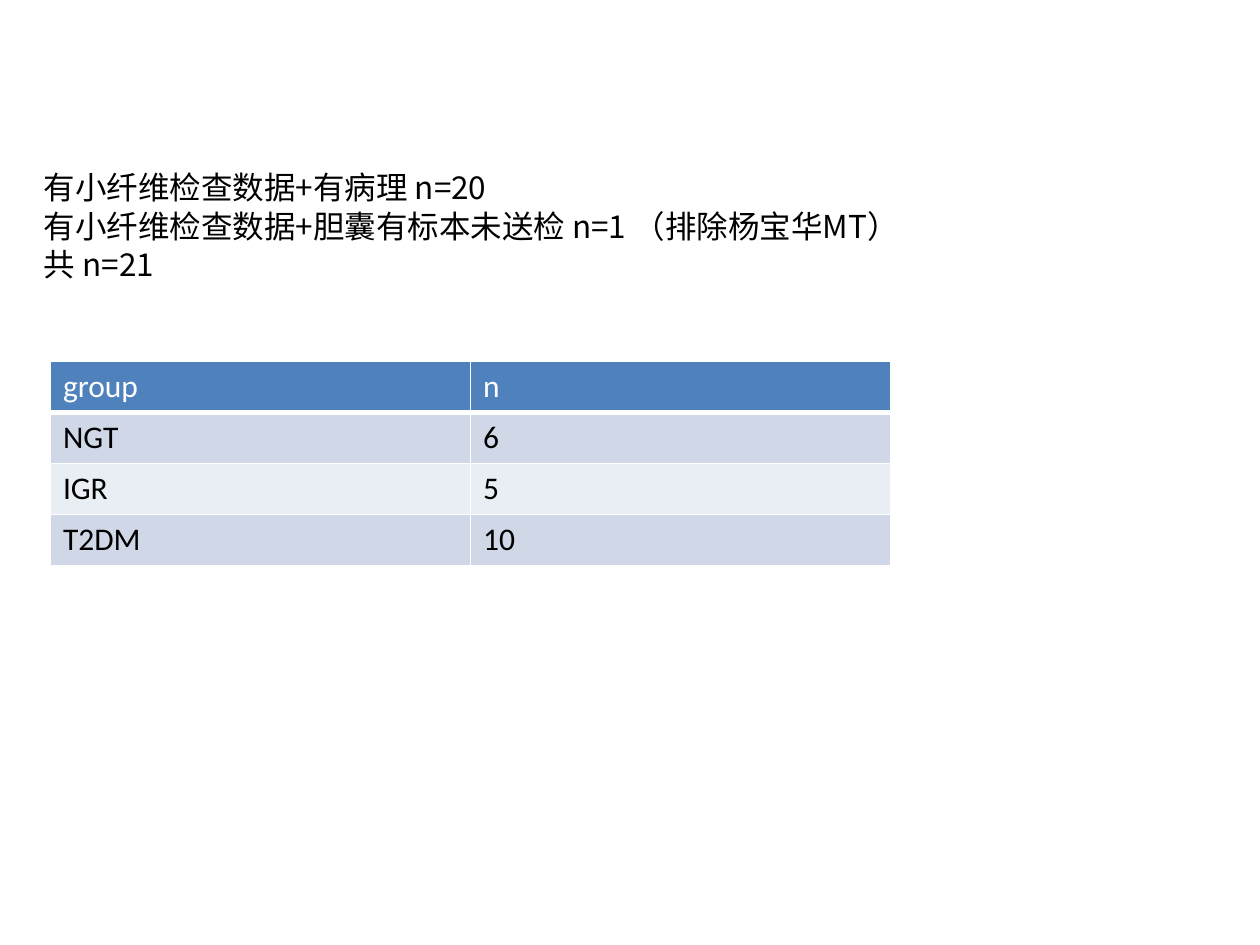
from lxml.etree import SubElement
from pptx import Presentation
from pptx.dml.color import RGBColor
from pptx.enum.text import MSO_AUTO_SIZE
from pptx.oxml import parse_xml
from pptx.oxml.ns import nsdecls, qn
from pptx.util import Inches, Pt

BLACK = RGBColor(0x00, 0x00, 0x00)
WHITE = RGBColor(0xFF, 0xFF, 0xFF)
HEADER_BLUE = RGBColor(0x4F, 0x81, 0xBD)
BANDS = (RGBColor(0xD0, 0xD8, 0xE8), RGBColor(0xE9, 0xED, 0xF4))

SAMPLE_NOTES = (
    "有小纤维检查数据+有病理 n=20",
    "有小纤维检查数据+胆囊有标本未送检 n=1 （排除杨宝华MT）",
    "共 n=21",
)
GROUP_COUNTS = (("group", "n"), ("NGT", "6"), ("IGR", "5"), ("T2DM", "10"))


class SlideBuilder:
    text_size = Pt(18)
    line_pitch = Pt(22)
    note_font = "Noto Sans CJK SC"
    table_font = "Calibri"

    def __init__(self, slide):
        self.slide = slide

    def style(self, paragraph, font_name, color):
        for run in paragraph.runs:
            run.font.size = self.text_size
            run.font.name = font_name
            run.font.color.rgb = color
            # East Asian characters take their own typeface
            SubElement(run.font._element, qn("a:ea"), typeface=font_name)

    def notes(self, lines, left, top, width, height):
        frame = self.slide.shapes.add_textbox(left, top, width, height).text_frame
        frame.word_wrap = True
        frame.auto_size = MSO_AUTO_SIZE.SHAPE_TO_FIT_TEXT
        frame.text = "\n".join(lines)
        for paragraph in frame.paragraphs:
            paragraph.line_spacing = self.line_pitch
            self.style(paragraph, self.note_font, BLACK)

    def borders(self, cell, bottom_width):
        properties = cell._tc.get_or_add_tcPr()
        widths = {"lnL": 1, "lnR": 1, "lnT": 1, "lnB": bottom_width}
        for position, (side, points) in enumerate(widths.items()):
            properties.insert(position, parse_xml(
                f'<a:{side} {nsdecls("a")} w="{Pt(points)}"><a:solidFill>'
                f'<a:srgbClr val="{WHITE}"/></a:solidFill></a:{side}>'))

    def table(self, rows, left, top, width, height):
        table = self.slide.shapes.add_table(
            len(rows), len(rows[0]), left, top, width, height).table
        for row_index, values in enumerate(rows):
            is_header = row_index == 0
            fill = HEADER_BLUE if is_header else BANDS[(row_index - 1) % 2]
            for column_index, value in enumerate(values):
                cell = table.cell(row_index, column_index)
                cell.text = value
                cell.fill.solid()
                cell.fill.fore_color.rgb = fill
                self.borders(cell, 3 if is_header else 1)
                paragraph = cell.text_frame.paragraphs[0]
                self.style(paragraph, self.table_font, WHITE if is_header else BLACK)
                for run in paragraph.runs:
                    run.font.bold = False


def main():
    presentation = Presentation()
    presentation.slide_width = Inches(10)
    presentation.slide_height = Inches(7.5)
    blank_layout = presentation.slide_layouts[6]
    builder = SlideBuilder(presentation.slides.add_slide(blank_layout))

    # Sample selection
    builder.notes(SAMPLE_NOTES, Inches(0.25), Inches(1.28), Inches(8.76), Inches(1.01))

    # Cases in each group
    builder.table(GROUP_COUNTS, Inches(0.4), Inches(2.87), Inches(6.67), Inches(1.62))

    presentation.save("out.pptx")


if __name__ == "__main__":
    main()
